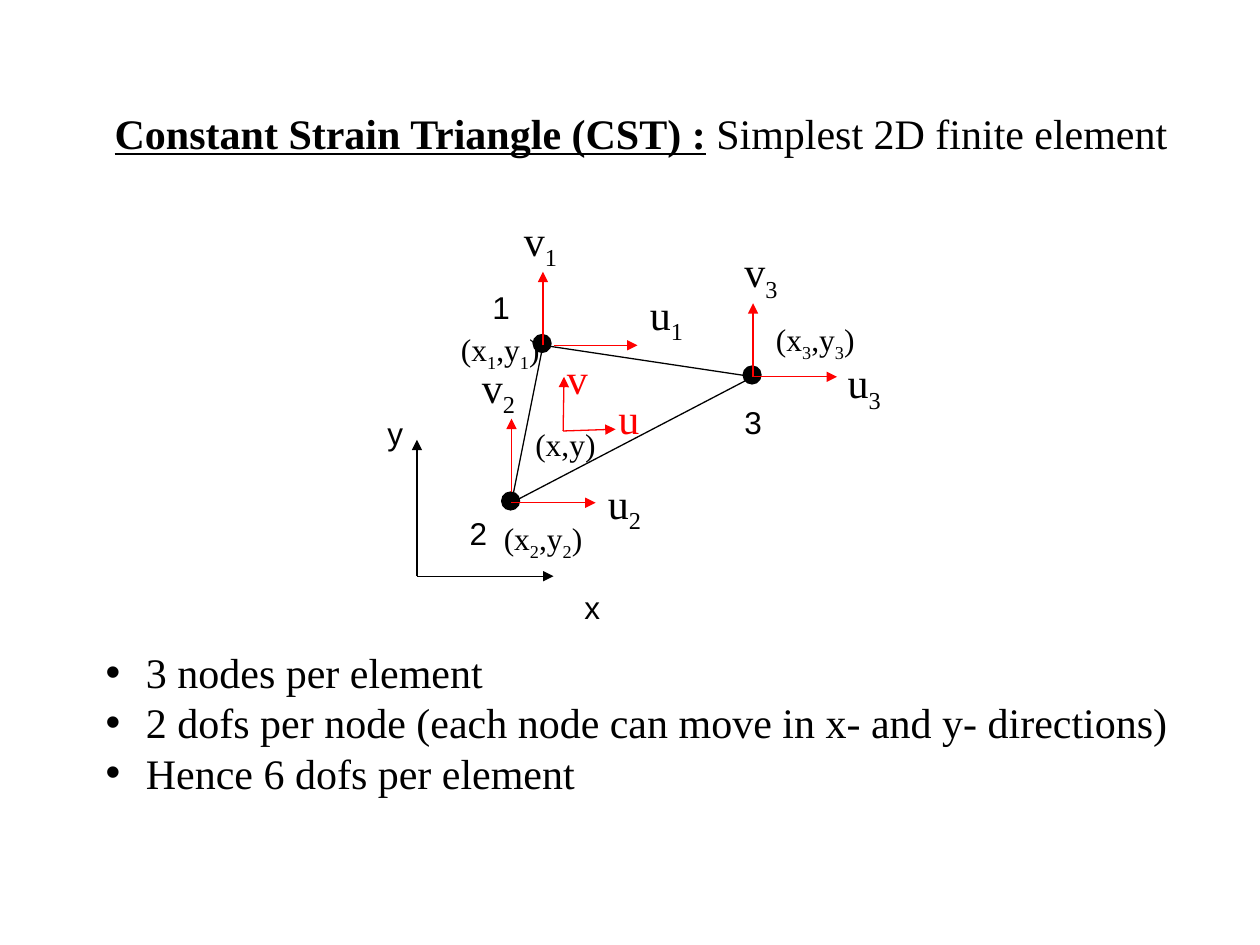
import dataclasses

import pptx
import pptx.dml.color
import pptx.enum.shapes
import pptx.enum.text
import pptx.oxml
import pptx.oxml.ns
import pptx.util
from pptx.util import Pt


@dataclasses.dataclass(frozen=True)
class Theme:
    ink: pptx.dml.color.RGBColor = pptx.dml.color.RGBColor(0, 0, 0)
    motion: pptx.dml.color.RGBColor = pptx.dml.color.RGBColor(255, 0, 0)
    serif: str = "Times New Roman"
    sans: str = "Arial"
    large: int = 24
    small: int = 18
    line: float = 0.75


THEME = Theme()

# Label box sizes, with room for each label on one line
SYMBOL, INDEXED, LETTER, POINT, NODE_POINT = (28, 36), (38, 40), (26, 29), (52, 29), (66, 32)

# Each node: position, gaps before its u and v arrows, offsets of its labels
NODES = {
    "1": dict(at=(96, 78), gaps=(6, 0), u=(54, -36), v=(-18, -78.5),
              number=(-36, -36), point=(-54, -12)),
    "2": dict(at=(78, 168), gaps=(0, 6), u=(48, -18), v=(-24, -84.5),
              number=(-31, 3), point=(-11.5, 6)),
    "3": dict(at=(216, 96), gaps=(0, 0), u=(47, -15), v=(-12, -78.5),
              number=(-12, 11.5), point=(6, -36)),
}


def shift(point, offset):
    return point[0] + offset[0], point[1] + offset[1]


def add_run(paragraph, text, size, font=THEME.serif, color=THEME.ink, subscript=False):
    run = paragraph.add_run()
    run.text = text
    run.font.size = Pt(size)
    run.font.name = font
    run.font.color.rgb = color
    if subscript:
        run.font._element.set("baseline", "-25000")
    return run


def add_label(shapes, at, extent, parts, size=THEME.small, font=THEME.serif, color=THEME.ink):
    """Every second part is a subscript."""
    label = shapes.add_textbox(*map(Pt, at + extent)).text_frame
    label.word_wrap = False
    label.auto_size = pptx.enum.text.MSO_AUTO_SIZE.NONE
    label.paragraphs[0].alignment = pptx.enum.text.PP_ALIGN.LEFT
    for index, part in enumerate(parts):
        add_run(label.paragraphs[0], part, size, font, color, subscript=index % 2 == 1)


def add_line(shapes, start, end, color=THEME.ink, arrow=False):
    line = shapes.add_connector(
        pptx.enum.shapes.MSO_CONNECTOR.STRAIGHT, *map(Pt, start + end))
    line.line.color.rgb = color
    line.line.width = Pt(THEME.line)
    properties = line._element.spPr
    if arrow:
        head = pptx.oxml.ns.qn("a:tailEnd")
        line.line._get_or_add_ln().append(
            properties.makeelement(head, {"type": "triangle"}))
    properties.append(properties.makeelement(pptx.oxml.ns.qn("a:effectLst"), {}))


def place_title(slide, left, top, width, height):
    title = slide.shapes.title
    title.left, title.top, title.width, title.height = map(Pt, (left, top, width, height))
    frame = title.text_frame
    frame.word_wrap = False
    frame.auto_size = pptx.enum.text.MSO_AUTO_SIZE.NONE
    frame.vertical_anchor = pptx.enum.text.MSO_ANCHOR.TOP
    heading = frame.paragraphs[0]
    heading.alignment = pptx.enum.text.PP_ALIGN.LEFT
    term = add_run(heading, "Constant Strain Triangle (CST) :", THEME.large)
    term.font.bold = term.font.underline = True
    add_run(heading, " Simplest 2D finite element", THEME.large)


def place_axes(shapes, left, top):
    origin = left, top
    for name, tip, offset in (("x", (78, 0), (88.5, 3)), ("y", (0, -78), (-24, -96))):
        add_line(shapes, origin, shift(origin, tip), arrow=True)
        add_label(shapes, shift(origin, offset), LETTER, [name], font=THEME.sans)


def place_node(shapes, number, node, center):
    # Dot
    dot = shapes.add_shape(pptx.enum.shapes.MSO_SHAPE.OVAL,
                           *map(Pt, shift(center, (-6, -6.5)) + (11, 11)))
    dot.shadow.inherit = False
    dot.fill.solid()
    dot.fill.fore_color.rgb = THEME.ink
    dot.line.fill.background()

    # Displacement arrows
    u_gap, v_gap = node["gaps"]
    for gap, tip in (((u_gap, 0), (u_gap + 48, 0)), ((0, -v_gap), (0, -v_gap - 42))):
        add_line(shapes, shift(center, gap), shift(center, tip), THEME.motion, arrow=True)

    # Labels
    for name in "uv":
        add_label(shapes, shift(center, node[name]), INDEXED, [name, number], THEME.large)
    add_label(shapes, shift(center, node["number"]), LETTER, [number], font=THEME.sans)
    add_label(shapes, shift(center, node["point"]), NODE_POINT,
              ["(x", number, ",y", number, ")"])


def place_interior_point(shapes, left, top):
    point = left, top
    for name, tip, offset in (("u", (30, -1), (24.5, -25.5)), ("v", (0.5, -31), (-5, -48.5))):
        add_line(shapes, point, shift(point, tip), THEME.motion, arrow=True)
        add_label(shapes, shift(point, offset), SYMBOL, [name], THEME.large, color=THEME.motion)
    add_label(shapes, shift(point, (-23, -7)), POINT, ["(x,y)"])


def place_diagram(slide, left, top):
    shapes = slide.shapes.add_group_shape().shapes
    corner = left, top
    place_axes(shapes, *shift(corner, (24, 210)))

    # Triangle sides
    centers = {number: shift(corner, node["at"]) for number, node in NODES.items()}
    for first, second in ("12", "23", "13"):
        add_line(shapes, centers[first], centers[second])

    for number, node in NODES.items():
        place_node(shapes, number, node, centers[number])
    place_interior_point(shapes, *shift(corner, (107.5, 127)))


def place_facts(slide, left, top, width, height):
    frame = slide.shapes.add_textbox(*map(Pt, (left, top, width, height))).text_frame
    frame.word_wrap = True
    facts = ("3 nodes per element",
             "2 dofs per node (each node can move in x- and y- directions)",
             "Hence 6 dofs per element")
    for index, fact in enumerate(facts):
        paragraph = frame.add_paragraph() if index else frame.paragraphs[0]
        add_run(paragraph, fact, THEME.large)
        properties = paragraph._p.get_or_add_pPr()
        indent = Pt(23)
        properties.set("marL", str(indent))
        properties.set("indent", str(-indent))
        for tag, attributes in (("a:buFont", {"typeface": THEME.sans}),
                                ("a:buChar", {"char": "•"})):
            properties.append(properties.makeelement(pptx.oxml.ns.qn(tag), attributes))


def main():
    deck = pptx.Presentation()
    deck.slide_width, deck.slide_height = Pt(720), Pt(540)
    slide = deck.slides.add_slide(deck.slide_layouts[5])
    place_title(slide, 58.3, 57.6, 618.5, 36)
    place_diagram(slide, 214.3, 119.3)
    place_facts(slide, 53.3, 365.8, 648.7, 122.4)
    deck.save("out.pptx")


if __name__ == "__main__":
    main()
